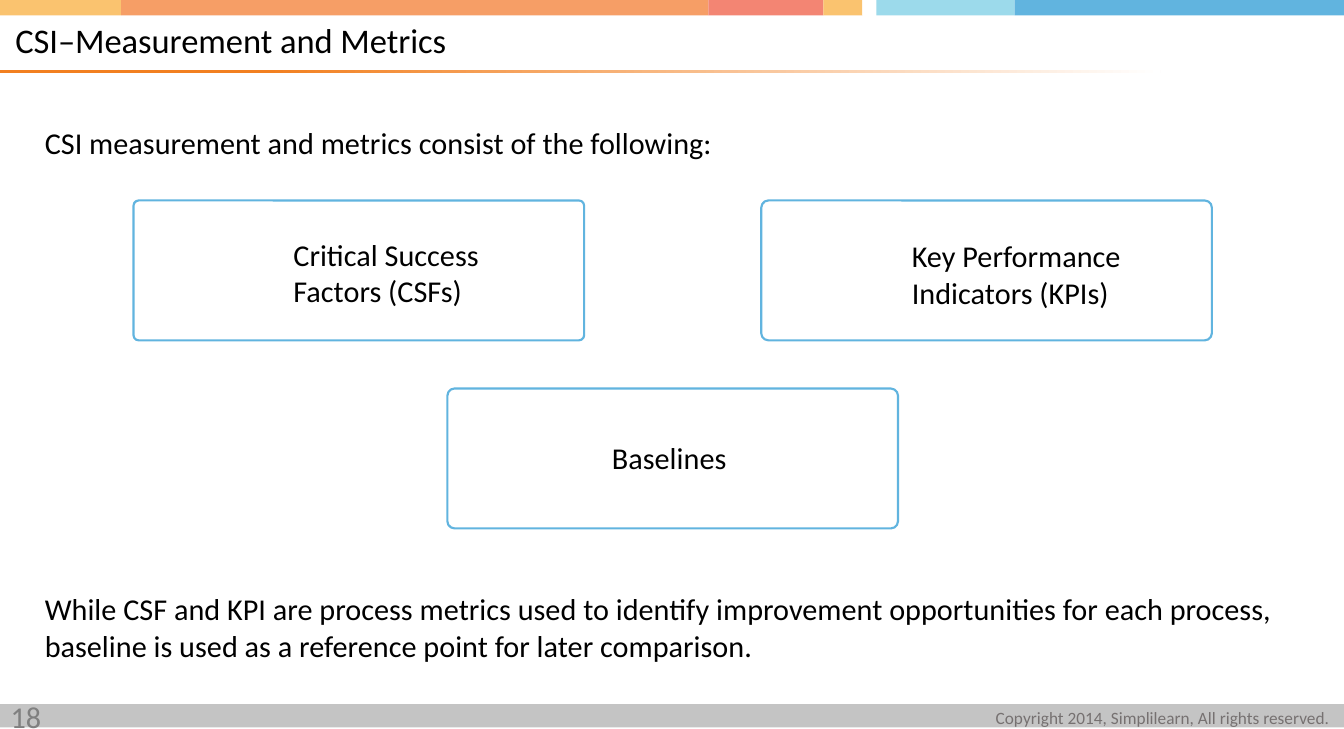
from itertools import accumulate

from pptx import Presentation
from pptx.dml.color import RGBColor
from pptx.enum.shapes import MSO_SHAPE
from pptx.enum.text import MSO_ANCHOR, PP_ALIGN
from pptx.util import Inches, Pt

SLIDE_WIDTH = 8.65
BAND_HEIGHT = 0.1
BANDS = [
    (0.78, "FAC36F"),
    (3.78, "F69E66"),
    (0.74, "F38573"),
    (0.25, "FAC36F"),
    (0.09, "FFFFFF"),
    (0.89, "9CDAEB"),
    (2.12, "61B4DF"),
]
CARD_WIDTH, CARD_HEIGHT = 2.9, 0.9
CARDS = [
    (0.86, 1.29, 0.037, "Critical Success Factors (CSFs)", (1.79, 1.47, 1.57, 0.57)),
    (4.9, 1.29, 0.051, "Key Performance Indicators (KPIs)", (5.77, 1.48, 1.99, 0.57)),
    (2.88, 2.5, 0.051, "Baselines", (3.84, 2.78, 1.92, 0.34)),
]
CLOSING = (
    "While CSF and KPI are process metrics used to identify improvement "
    "opportunities for each process, baseline is used as a reference point "
    "for later comparison."
)


def color(value):
    return RGBColor.from_string(value)


def apply_format(target, values):
    for name, value in values.items():
        setattr(target, name, value)


def add_shape(page, kind, area):
    shape = page.shapes.add_shape(kind, *map(Inches, area))
    shape.shadow.inherit = False
    return shape


def add_bar(page, area, fill):
    bar = add_shape(page, MSO_SHAPE.RECTANGLE, area)
    bar.fill.solid()
    bar.fill.fore_color.rgb = color(fill)
    bar.line.fill.background()


def add_title_rule(page):
    rule = add_shape(page, MSO_SHAPE.RECTANGLE, (0, 0.45, 7.47, 0.02))
    rule.line.fill.background()
    rule.fill.gradient()
    rule.fill.gradient_angle = 0
    stops = [(0.23, "F28020"), (1, "FFFFFF")]
    for stop, (position, value) in zip(rule.fill.gradient_stops, stops):
        stop.position = position
        stop.color.rgb = color(value)


def add_text(page, area, text, size=14, fill="000000", frame=None, para_format=None):
    box = page.shapes.add_textbox(*map(Inches, area))
    apply_format(box.text_frame, {"word_wrap": True, **(frame or {})})
    para = box.text_frame.paragraphs[0]
    apply_format(para, para_format or {})
    span = para.add_run()
    span.text = text
    apply_format(span.font, {"name": "Calibri", "size": Pt(size)})
    span.font.color.rgb = color(fill)


def add_card(page, left, top, rounding, label, label_area):
    card = add_shape(
        page, MSO_SHAPE.ROUNDED_RECTANGLE, (left, top, CARD_WIDTH, CARD_HEIGHT)
    )
    card.adjustments[0] = rounding
    card.fill.background()
    card.line.color.rgb = color("61B4DF")
    card.line.width = Pt(1)
    add_text(page, label_area, label)


def add_header(page):
    widths = [width for width, _ in BANDS]
    for left, (width, fill) in zip(accumulate(widths, initial=0), BANDS):
        add_bar(page, (left, 0, width, BAND_HEIGHT), fill)
    add_title_rule(page)
    add_text(
        page,
        (0, 0.1, 7.08, 0.34),
        "CSI–Measurement and Metrics",
        size=16,
        frame={
            "vertical_anchor": MSO_ANCHOR.MIDDLE,
            "margin_top": 0,
            "margin_right": 0,
            "margin_bottom": 0,
        },
        para_format={"line_spacing": 0.9},
    )


def add_footer(page):
    add_bar(page, (0, 4.53, SLIDE_WIDTH, 0.15), "C4C4C4")
    add_text(
        page,
        (5.56, 4.5, 3, 0.24),
        "Copyright 2014, Simplilearn, All rights reserved.",
        size=8,
        fill="767171",
        frame={"margin_left": 0, "margin_right": 0},
        para_format={"alignment": PP_ALIGN.RIGHT},
    )
    add_text(page, (-0.03, 4.44, 0.63, 0.25), "18", fill="808080")


def main():
    deck = Presentation()
    apply_format(
        deck, {"slide_width": Inches(SLIDE_WIDTH), "slide_height": Inches(4.69)}
    )
    page = deck.slides.add_slide(deck.slide_layouts[6])
    add_header(page)
    add_footer(page)
    add_text(
        page,
        (0.19, 0.75, 8.24, 0.34),
        "CSI measurement and metrics consist of the following:",
    )
    for card in CARDS:
        add_card(page, *card)
    add_text(page, (0.19, 3.75, 8.24, 0.61), CLOSING)
    deck.save("out.pptx")


if __name__ == "__main__":
    main()
